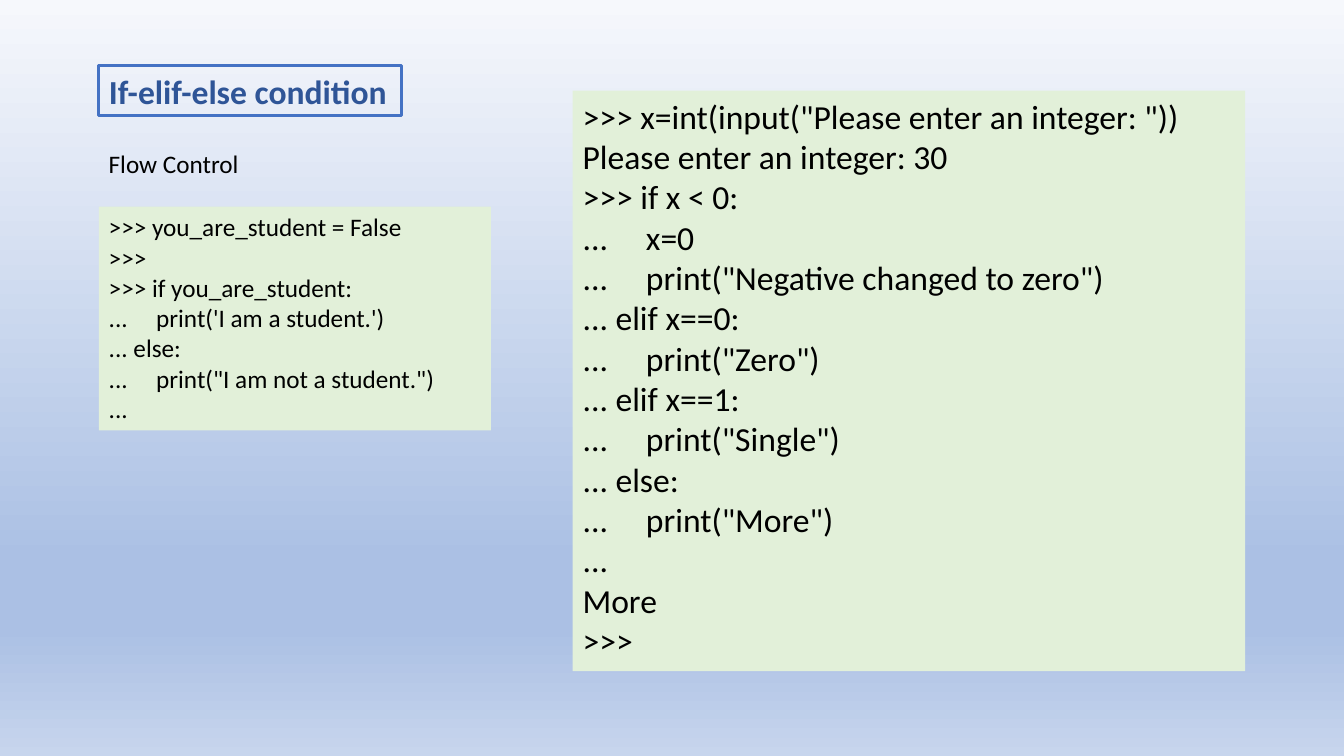
"""Builds the slide on if-elif-else conditions."""
from lxml.etree import SubElement
from pptx import Presentation
from pptx.dml.color import RGBColor
from pptx.enum.text import MSO_ANCHOR, MSO_AUTO_SIZE, PP_ALIGN
from pptx.oxml.ns import qn
from pptx.util import Inches, Pt

COLORS = {"code": "E2F0D9", "border": "4472C4", "title": "2F5597", "text": "000000"}
BACKGROUND_STOPS = [(0, "F6F8FC"), (74, "ABC0E4"), (83, "ABC0E4"), (100, "C7D5ED")]
FONT = "Calibri"

TITLE = "If-elif-else condition"
SUBTITLE = "Flow Control"
INTEGER_CODE = [
    '>>> x=int(input("Please enter an integer: "))',
    "Please enter an integer: 30",
    ">>> if x < 0:",
    "...     x=0",
    '...     print("Negative changed to zero")',
    "... elif x==0:",
    '...     print("Zero")',
    "... elif x==1:",
    '...     print("Single")',
    "... else:",
    '...     print("More")',
    "...",
    "More",
    ">>>",
]
STUDENT_CODE = [
    ">>> you_are_student = False",
    ">>>",
    ">>> if you_are_student:",
    "...     print('I am a student.')",
    "... else:",
    '...     print("I am not a student.")',
    "...",
]
LEFT = 0.98
TITLE_AREA = (LEFT, 0.65, 3, 0.5)
TEXT_BOXES = [
    ((5.68, 0.9, 6.67, 5.76), INTEGER_CODE, 24, "code"),
    ((LEFT, 1.42, 1.5, 0.4), [SUBTITLE], 18, None),
    ((LEFT, 2.05, 3.89, 2.22), STUDENT_CODE, 18, "code"),
]


def rgb(name):
    return RGBColor.from_string(COLORS[name])


def write_lines(box, lines, size, color="text", bold=False, wrap=True):
    frame = box.text_frame
    frame.word_wrap = wrap
    frame.auto_size = MSO_AUTO_SIZE.NONE
    frame.vertical_anchor = MSO_ANCHOR.TOP
    for index, line in enumerate(lines):
        para = frame.add_paragraph() if index else frame.paragraphs[0]
        para.alignment = PP_ALIGN.LEFT
        span = para.add_run()
        span.text = line
        span.font.name = FONT
        span.font.size = Pt(size)
        span.font.bold = bold
        span.font.color.rgb = rgb(color)


def paint_background(page):
    fill = page.background.fill
    fill.gradient()
    fill.gradient_angle = 270
    stops = page.element.find(".//" + qn("a:gsLst"))
    for stop in list(stops):
        stops.remove(stop)
    for percent, color in BACKGROUND_STOPS:
        stop = SubElement(stops, qn("a:gs"), pos=str(percent * 1000))
        SubElement(stop, qn("a:srgbClr"), val=color)


def add_title(page):
    title = page.shapes.title
    title.left, title.top, title.width, title.height = map(Inches, TITLE_AREA)
    title.line.color.rgb = rgb("border")
    title.line.width = Pt(2.25)
    write_lines(title, [TITLE], 24, "title", bold=True, wrap=False)


def main():
    deck = Presentation()
    deck.slide_width, deck.slide_height = Inches(13.33), Inches(7.5)
    page = deck.slides.add_slide(deck.slide_layouts[5])
    paint_background(page)
    add_title(page)
    for area, lines, size, fill in TEXT_BOXES:
        box = page.shapes.add_textbox(*map(Inches, area))
        if fill:
            box.fill.solid()
            box.fill.fore_color.rgb = rgb(fill)
        write_lines(box, lines, size, wrap=fill is not None)
    deck.save("out.pptx")


if __name__ == "__main__":
    main()
